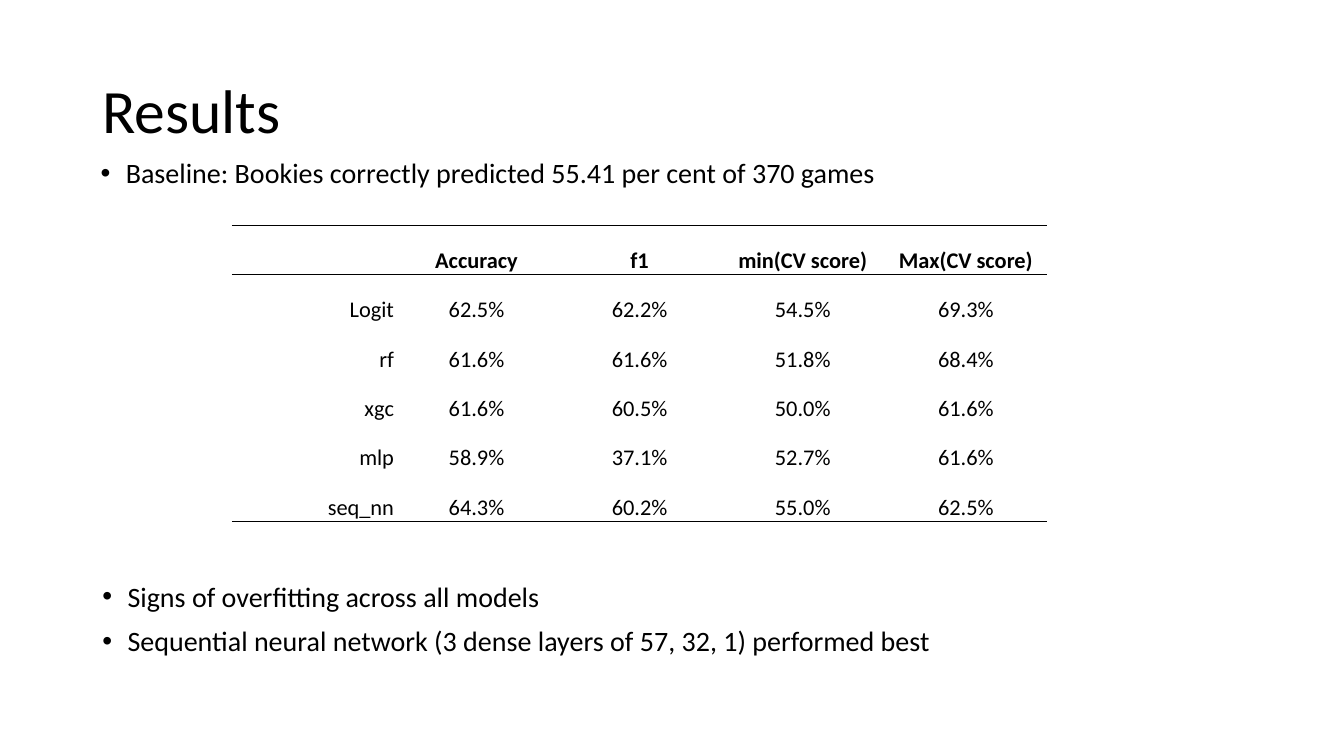
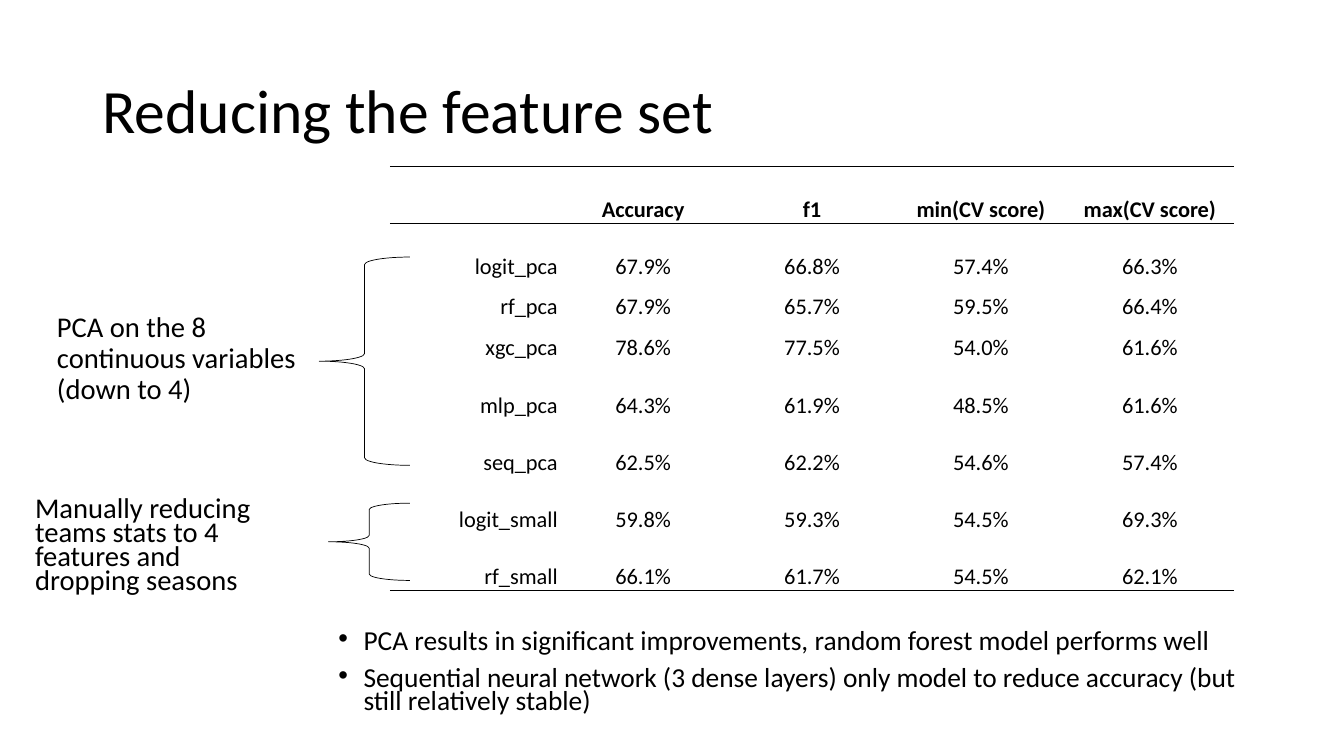
from pptx import Presentation
from pptx.dml.color import RGBColor
from pptx.enum.shapes import MSO_SHAPE as Shape
from pptx.enum.text import MSO_ANCHOR as Anchor, PP_ALIGN as Align
from pptx.oxml import parse_xml
from pptx.oxml.ns import nsdecls, qn
from pptx.util import Inches, Pt

COLORS = {"text": "000000", "line": "000000"}
FONT = "Calibri"
COLUMNS, ROWS = 160, 90
NO_TABLE_STYLE = "{2D5ABB26-0587-4C30-8999-92F81FD0307C}"


class Deck:
    """Slides on a grid of 160 columns by 90 rows; every box is left, top, width, height."""

    def __init__(self):
        self.prs = Presentation()
        self.prs.slide_width, self.prs.slide_height = Inches(13.33), Inches(7.5)
        self.slide = None

    def x(self, columns):
        return round(self.prs.slide_width * columns / COLUMNS)

    def y(self, rows):
        return round(self.prs.slide_height * rows / ROWS)

    def box(self, left, top, width, height):
        return self.x(left), self.y(top), self.x(width), self.y(height)

    def new_slide(self, title):
        self.slide = self.prs.slides.add_slide(self.prs.slide_layouts[6])
        self.text((11, 4.8, 138, 17.4), [title], 44, before=0, anchor=Anchor.MIDDLE)

    def style(self, paragraph, size, bold=False):
        for run in paragraph.runs:
            run.font.name, run.font.size, run.font.bold = FONT, Pt(size), bold
            run.font.color.rgb = RGBColor.from_string(COLORS["text"])

    def text(self, box, lines, size, spacing=0.9, before=10, anchor=Anchor.TOP):
        frame = self.slide.shapes.add_textbox(*self.box(*box)).text_frame
        frame.word_wrap = True
        frame.vertical_anchor = anchor
        frame.text = "\n".join(lines)
        for paragraph in frame.paragraphs:
            paragraph.line_spacing = spacing
            paragraph.space_before = Pt(before)
            self.style(paragraph, size)
        return frame

    def bullets(self, box, lines, size=20, spacing=0.9):
        for paragraph in self.text(box, lines, size, spacing).paragraphs:
            props = paragraph._p.get_or_add_pPr()
            props.set("marL", str(Inches(0.25)))
            props.set("indent", str(-Inches(0.25)))
            props.append(parse_xml(f'<a:buFont {nsdecls("a")} typeface="Arial"/>'))
            props.append(parse_xml(f'<a:buChar {nsdecls("a")} char="•"/>'))

    def brace(self, box):
        brace = self.slide.shapes.add_shape(Shape.LEFT_BRACE, *self.box(*box))
        brace.shadow.inherit = False
        brace.fill.background()
        brace.line.color.rgb = RGBColor.from_string(COLORS["line"])
        brace.line.width = Pt(0.5)

    def rule(self, cell, side):
        """Draw a 1 pt line on the side T or B of a cell."""
        cell._tc.get_or_add_tcPr().insert(0, parse_xml(
            f'<a:ln{side} {nsdecls("a")} w="{Pt(1)}"><a:solidFill>'
            f'<a:srgbClr val="{COLORS["line"]}"/></a:solidFill></a:ln{side}>'))

    def scores(self, left, top, column_width, row_heights, header, models):
        """Table of model scores, ruled above and below the header and at the foot."""
        records = [("", *header), *models]
        last = len(records) - 1
        box = self.box(left, top, column_width * len(records[0]), sum(row_heights))
        table = self.slide.shapes.add_table(len(records), len(records[0]), *box).table
        table.first_row = table.horz_banding = False
        table._tbl.tblPr.find(qn("a:tableStyleId")).text = NO_TABLE_STYLE
        for column in table.columns:
            column.width = self.x(column_width)
        for r, (record, height) in enumerate(zip(records, row_heights)):
            table.rows[r].height = self.y(height)
            for c, value in enumerate(record):
                cell = table.cell(r, c)
                cell.fill.background()
                cell.margin_left = cell.margin_right = cell.margin_top = Inches(0.01)
                cell.margin_bottom = 0
                cell.vertical_anchor = Anchor.BOTTOM
                cell.text_frame.text = value
                paragraph = cell.text_frame.paragraphs[0]
                paragraph.alignment = Align.CENTER if c else Align.RIGHT
                self.style(paragraph, 16, bold=r == 0)
                if r in (0, last):
                    self.rule(cell, "B")
                if r == 0:
                    self.rule(cell, "T")


def results(deck):
    deck.new_slide("Results")
    deck.bullets((10.8, 18.4, 138, 6.8),
                 ["Baseline: Bookies correctly predicted 55.41 per cent of 370 games"])
    deck.scores(27.6, 26.8, 19.42, [5.88] * 6,
                ("Accuracy", "f1", "min(CV score)", "Max(CV score)"), [
                    ("Logit", "62.5%", "62.2%", "54.5%", "69.3%"),
                    ("rf", "61.6%", "61.6%", "51.8%", "68.4%"),
                    ("xgc", "61.6%", "60.5%", "50.0%", "61.6%"),
                    ("mlp", "58.9%", "37.1%", "52.7%", "61.6%"),
                    ("seq_nn", "64.3%", "60.2%", "55.0%", "62.5%"),
                ])
    deck.bullets((11, 68.8, 132.8, 17.2), [
        "Signs of overfitting across all models",
        "Sequential neural network (3 dense layers of 57, 32, 1) performed best",
    ])


def reduced_features(deck):
    deck.new_slide("Reducing the feature set")
    deck.scores(46.4, 19.8, 20.11, [6.8, 6.8, 4.8, 4.9] + [6.8] * 4,
                ("Accuracy", "f1", "min(CV score)", "max(CV score)"), [
                    ("logit_pca", "67.9%", "66.8%", "57.4%", "66.3%"),
                    ("rf_pca", "67.9%", "65.7%", "59.5%", "66.4%"),
                    ("xgc_pca", "78.6%", "77.5%", "54.0%", "61.6%"),
                    ("mlp_pca", "64.3%", "61.9%", "48.5%", "61.6%"),
                    ("seq_pca", "62.5%", "62.2%", "54.6%", "57.4%"),
                    ("logit_small", "59.8%", "59.3%", "54.5%", "69.3%"),
                    ("rf_small", "66.1%", "61.7%", "54.5%", "62.1%"),
                ])
    deck.bullets((39.1, 74.6, 111.5, 12.6), [
        "PCA results in significant improvements, random forest model performs well",
        "Sequential neural network (3 dense layers) only model to reduce accuracy "
        "(but still relatively stable)",
    ], size=19.6, spacing=0.7)
    deck.brace((38, 30.6, 10.8, 24.8))
    deck.text((5.6, 36.7, 32.4, 12.6),
              ["PCA on the 8 continuous variables (down to 4)"], 20.4)
    deck.brace((39.1, 59.9, 9.7, 9.2))
    deck.text((3, 58.8, 32.4, 12.6),
              ["Manually reducing teams stats to 4 features and dropping seasons"],
              20.4, spacing=0.7)


def main():
    deck = Deck()
    results(deck)
    reduced_features(deck)
    deck.prs.save("out.pptx")


if __name__ == "__main__":
    main()
